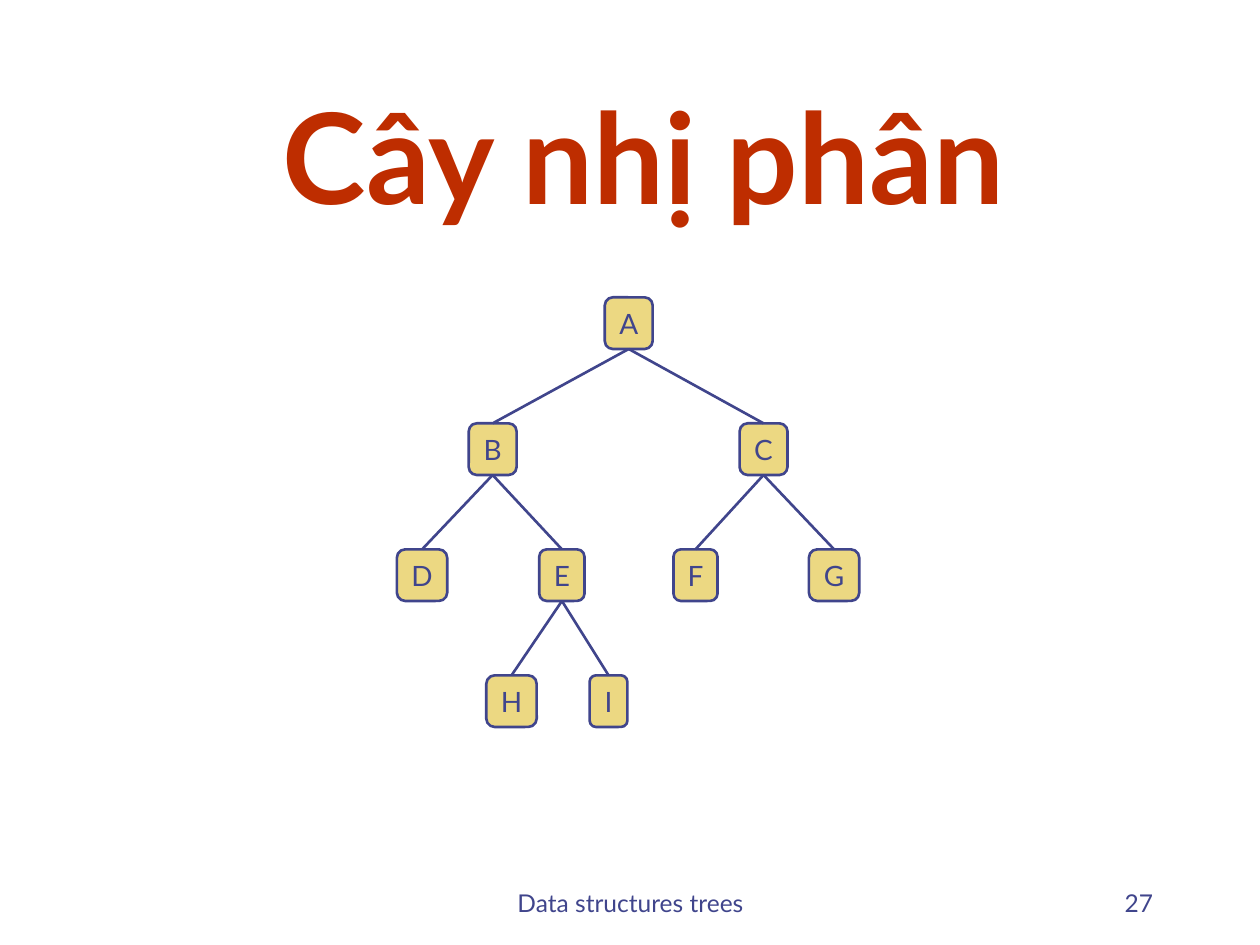
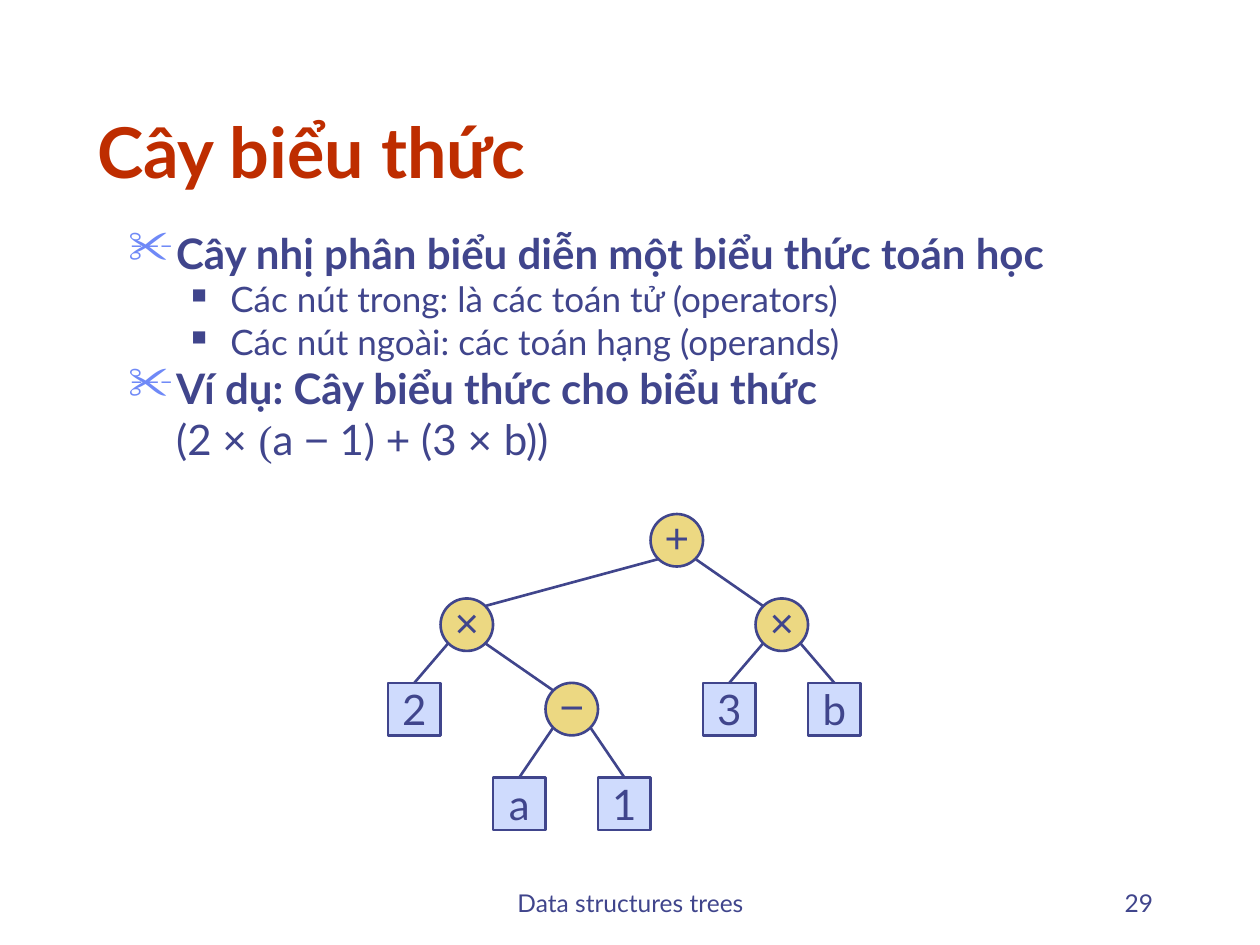
from lxml.etree import SubElement
from pptx import Presentation
from pptx.dml.color import RGBColor
from pptx.enum.shapes import MSO_CONNECTOR as Connector, MSO_SHAPE as Shape
from pptx.enum.text import MSO_ANCHOR as Anchor, MSO_AUTO_SIZE as AutoSize, PP_ALIGN as Align
from pptx.oxml.ns import qn
from pptx.util import Inches, Pt

COLORS = {"ink": "40458C", "title": "BE2D00", "node": "ECD882", "leaf": "CFDBFD", "scissors": "6F89F7"}
TEXT_FONT, SYMBOL_FONT = "Lato", "Arial"

BINARY_TREE = {
    "A": (1.84, 0, 0.38, None), "B": (0.76, 1, 0.38, "A"), "C": (2.91, 1, 0.38, "A"),
    "D": (0.2, 2, 0.4, "B"), "E": (1.31, 2, 0.36, "B"),
    "F": (2.37, 2, 0.35, "C"), "G": (3.47, 2, 0.4, "C"),
    "H": (0.91, 3, 0.4, "E"), "I": (1.68, 3, 0.3, "E"),
}
EXPRESSION_TREE = ("+", ("×", "2", ("−", "a", "1")), ("×", "3", "b"))
EXPRESSION_ROWS = (0, 0.67, 1.34, 2.09)
EXPLANATION = (
    (0, "Cây nhị phân biểu diễn một biểu thức toán học"),
    (1, "Các nút trong: là các toán tử (operators)"),
    (1, "Các nút ngoài: các toán hạng (operands)"),
    (0, "Ví dụ: Cây biểu thức cho biểu thức"),
)
EXPRESSION = (
    ("(2 ", TEXT_FONT), ("× ", SYMBOL_FONT), ("(", "Times New Roman"), ("a ", TEXT_FONT),
    ("−", SYMBOL_FONT), (" 1) ", TEXT_FONT), ("+", SYMBOL_FONT), (" (3 ", TEXT_FONT),
    ("× ", SYMBOL_FONT), ("b))", TEXT_FONT),
)
BULLETS = (
    {"char": "✂", "color": "scissors", "percent": 110, "left": 0.38, "hang": 0.38, "size": 24, "before": 6},
    {"char": "■", "color": "ink", "percent": 60, "left": 0.81, "hang": 0.31, "size": 20, "before": 5},
)


def rgb(color):
    """Return the named colour."""
    return RGBColor.from_string(COLORS[color])


def style(paragraph, size, align=Align.LEFT, color="ink", bold=False, font=TEXT_FONT):
    """Give a paragraph its alignment and font."""
    paragraph.alignment = align
    paragraph.font.size = Pt(size)
    paragraph.font.color.rgb = rgb(color)
    paragraph.font.bold = bold
    paragraph.font.name = font


def add_title(slide, text, box, size, align):
    """Place and format the title placeholder."""
    title = slide.shapes.title
    title.left, title.top, title.width, title.height = map(Inches, box)
    frame = title.text_frame
    frame.text = text
    frame.auto_size = AutoSize.NONE
    frame.vertical_anchor = Anchor.BOTTOM
    style(frame.paragraphs[0], size, align, "title", True)


def add_footer(slide, number):
    """Write the course name and the page number."""
    entries = (("Data structures trees", 3.42, 3.17, Align.CENTER), (str(number), 7.17, 2.08, Align.RIGHT))
    for text, left, width, align in entries:
        frame = slide.shapes.add_textbox(Inches(left), Inches(6.83), Inches(width), Inches(0.5)).text_frame
        frame.word_wrap = True
        frame.vertical_anchor = Anchor.BOTTOM
        frame.text = text
        style(frame.paragraphs[0], 14, align)


def add_node(slide, kind, label, box, fill="node", size=24, font=TEXT_FONT, bottom=0):
    """Draw one labelled tree node."""
    node = slide.shapes.add_shape(kind, *map(Inches, box))
    node.shadow.inherit = False
    node.fill.solid()
    node.fill.fore_color.rgb = rgb(fill)
    node.line.color.rgb = rgb("ink")
    node.line.width = Pt(1.5)
    frame = node.text_frame
    frame.margin_left = frame.margin_right = frame.margin_top = 0
    frame.margin_bottom = Inches(bottom)
    frame.word_wrap = False
    frame.vertical_anchor = Anchor.MIDDLE
    frame.text = label
    style(frame.paragraphs[0], size, Align.CENTER, font=font)
    return node


def add_branch(slide, start=(0, 0), end=(0, 0)):
    """Draw a straight tree branch between two points in inches."""
    branch = slide.shapes.add_connector(Connector.STRAIGHT, *map(Inches, (*start, *end)))
    branch.line.color.rgb = rgb("ink")
    branch.line.width = Pt(1.5)
    SubElement(branch._element.spPr, qn("a:effectLst"))
    return branch


def add_binary_tree(slide, left, top):
    """Draw the lettered tree with its branches glued to the nodes."""
    nodes = {}
    for label, (center, level, width, parent) in BINARY_TREE.items():
        box = (left + center - width / 2, top + level, width, 0.41)
        nodes[label] = add_node(slide, Shape.ROUNDED_RECTANGLE, label, box, size=16)
        if parent:
            branch = add_branch(slide)
            branch.begin_connect(nodes[parent], 2)
            branch.end_connect(nodes[label], 0)


def add_expression_tree(slide, left, top, width):
    """Draw the expression tree, one column for each node in in-order."""
    pitch = width / 9
    reach = pitch * 0.36
    columns = iter(range(9))

    def add_subtree(tree, level):
        """Draw a subtree and return its root, centre and whether it is a leaf."""
        y = top + EXPRESSION_ROWS[level]
        if isinstance(tree, str):
            x = left + next(columns) * pitch
            leaf = add_node(slide, Shape.RECTANGLE, tree, (x, y, pitch, pitch), "leaf")
            return leaf, x + pitch / 2, y + pitch / 2, True
        operator, first, second = tree
        first_child = add_subtree(first, level + 1)
        x = left + next(columns) * pitch
        second_child = add_subtree(second, level + 1)
        root = add_node(slide, Shape.OVAL, operator, (x, y, pitch, pitch), font=SYMBOL_FONT, bottom=0.05)
        center_x, center_y = x + pitch / 2, y + pitch / 2
        for side, (child, child_x, child_y, is_leaf) in ((-1, first_child), (1, second_child)):
            branch = add_branch(slide, (center_x + side * reach, center_y + reach),
                                (child_x - side * reach, child_y - reach))
            if is_leaf:
                branch.end_connect(child, 0)
        return root, center_x, center_y, False

    add_subtree(EXPRESSION_TREE, 0)


def add_bullet(properties, bullet):
    """Set the hanging indent and the bullet of a paragraph."""
    properties.set("marL", str(Inches(bullet["left"])))
    properties.set("indent", str(-Inches(bullet["hang"])))
    color = SubElement(properties, qn("a:buClr"))
    SubElement(color, qn("a:srgbClr"), val=COLORS[bullet["color"]])
    SubElement(properties, qn("a:buSzPct"), val=str(bullet["percent"] * 1000))
    SubElement(properties, qn("a:buChar"), char=bullet["char"])


def add_explanation(slide, left, top, width, height):
    """Write the bulleted definition and the example expression."""
    frame = slide.shapes.add_textbox(*map(Inches, (left, top, width, height))).text_frame
    frame.word_wrap = True
    paragraphs = [frame.paragraphs[0]] + [frame.add_paragraph() for _ in EXPLANATION]
    for paragraph, (level, text) in zip(paragraphs, EXPLANATION):
        bullet = BULLETS[level]
        paragraph.text = text
        paragraph.level = level
        paragraph.line_spacing = 0.8
        paragraph.space_before = Pt(bullet["before"])
        add_bullet(paragraph._p.get_or_add_pPr(), bullet)
        style(paragraph, bullet["size"], bold=level == 0)
    formula = paragraphs[-1]
    formula.line_spacing = 0.8
    formula.space_before = Pt(6)
    formula._p.get_or_add_pPr().set("marL", str(Inches(0.38)))
    style(formula, 24)
    for text, font in EXPRESSION:
        run = formula.add_run()
        run.text = text
        run.font.name = font


def build_binary_tree_slide(slide):
    """Build the slide on binary trees."""
    add_title(slide, "Cây nhị phân", (0.86, 0.62, 8.5, 1.25), 72, Align.CENTER)
    add_binary_tree(slide, 3.15, 2.36)
    add_footer(slide, 27)


def build_expression_slide(slide):
    """Build the slide on expression trees."""
    add_title(slide, "Cây biểu thức", (0.67, 0.33, 8.5, 1.25), 40, Align.LEFT)
    add_explanation(slide, 0.92, 1.83, 8.5, 2.08)
    add_expression_tree(slide, 3.08, 4.08, 3.75)
    add_footer(slide, 29)


def main():
    """Build and save the presentation."""
    deck = Presentation()
    deck.slide_width, deck.slide_height = Inches(10), Inches(7.5)
    title_only = deck.slide_layouts[5]
    for build in (build_binary_tree_slide, build_expression_slide):
        build(deck.slides.add_slide(title_only))
    deck.save("out.pptx")


if __name__ == "__main__":
    main()
